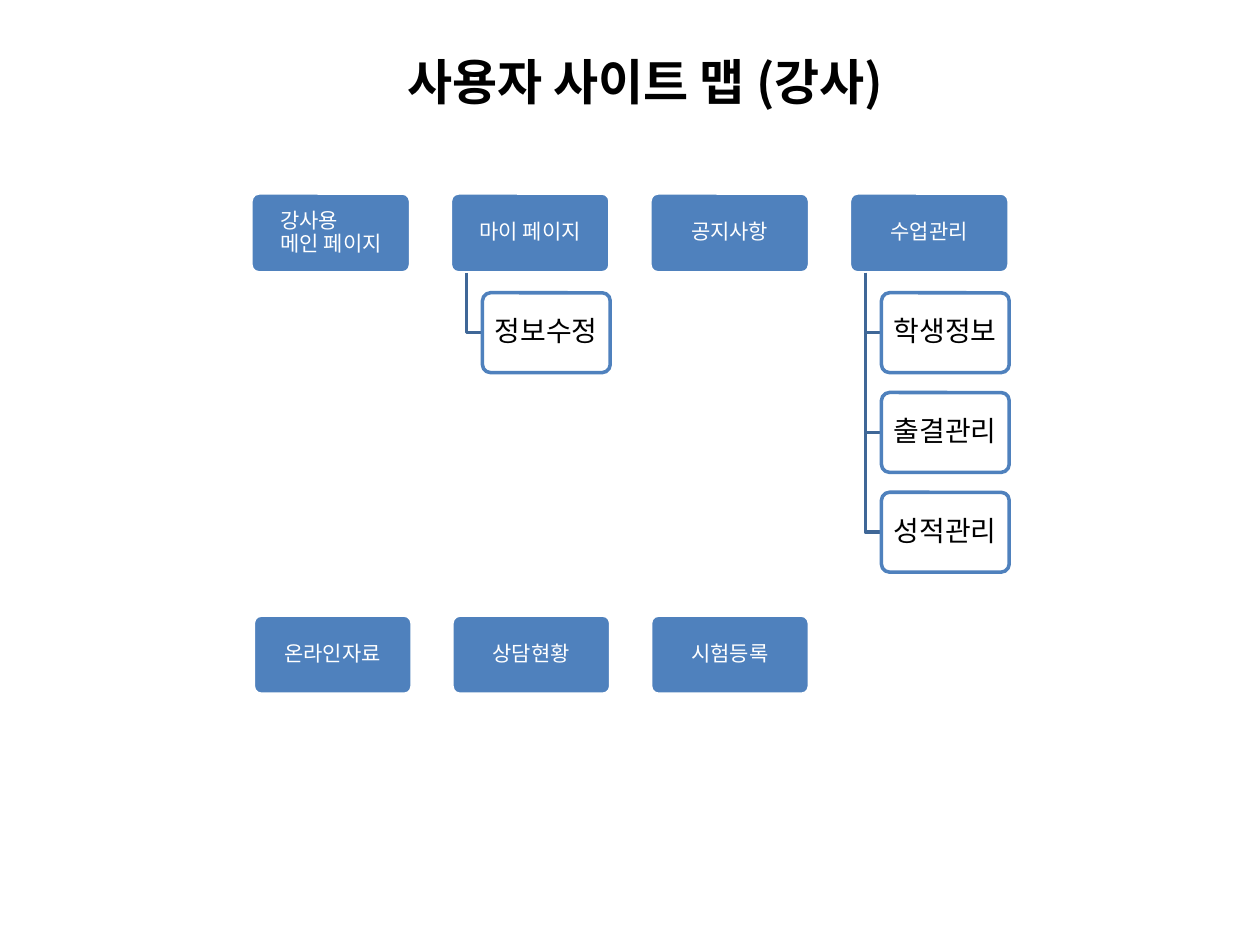
from pptx import Presentation
from pptx.dml.color import RGBColor
from pptx.enum.shapes import MSO_SHAPE
from pptx.enum.text import MSO_ANCHOR, PP_ALIGN
from pptx.oxml.ns import qn
from pptx.util import Pt

ROUNDED = MSO_SHAPE.ROUNDED_RECTANGLE
MIDDLE = MSO_ANCHOR.MIDDLE
CENTER, LEFT = PP_ALIGN.CENTER, PP_ALIGN.LEFT
FONT = "Noto Sans CJK KR"
COLORS = {"box": "4F81BD", "branch": "3F6797", "white": "FFFFFF", "black": "000000"}

# label, sub-pages
MAIN_ROW = [
    ("강사용\v메인 페이지", []),
    ("마이 페이지", ["정보수정"]),
    ("공지사항", []),
    ("수업관리", ["학생정보", "출결관리", "성적관리"]),
]
SECOND_ROW = [("온라인자료", []), ("상담현황", []), ("시험등록", [])]
# left, top, column step, box width, box height, pages
ROWS = [
    (143.4, 110.3, 114, 91.2, 45.6, MAIN_ROW),
    (144.8, 351.5, 113.5, 90.7, 45.2, SECOND_ROW),
]
CHILD_WIDTH, CHILD_STEP = 73, 57
CHILD_INDENT, TRUNK_INDENT = 18.3, 9.1


def style_text(paragraph, size, color, bold=False):
    """Apply the slide font to every run of a paragraph."""
    for run in paragraph.runs:
        run.font.name = FONT
        run.font.size = Pt(size)
        run.font.bold = bold
        run.font.color.rgb = RGBColor.from_string(COLORS[color])
        east_asian = run.font._element.makeelement(qn("a:ea"), {"typeface": FONT})
        run.font._element.find(qn("a:latin")).addnext(east_asian)


def add_page_box(position, label, fill, line, size, text_color):
    """Draw one rounded page box with its label."""
    shape = slide.shapes.add_shape(ROUNDED, *[Pt(value) for value in position])
    shape.adjustments[0] = 0.1
    shape.shadow.inherit = False
    shape.fill.solid()
    shape.fill.fore_color.rgb = RGBColor.from_string(COLORS[fill])
    shape.line.color.rgb = RGBColor.from_string(COLORS[line])
    shape.line.width = Pt(2)
    frame = shape.text_frame
    frame.word_wrap = True
    frame.vertical_anchor = MIDDLE
    two_lines = "\v" in label
    frame.margin_left = Pt(15.5 if two_lines else 3.6)
    frame.margin_right = Pt(3.6)
    frame.margin_top = frame.margin_bottom = Pt(2.9)
    paragraph = frame.paragraphs[0]
    paragraph.text = label
    paragraph.alignment = LEFT if two_lines else CENTER
    paragraph.line_spacing = 0.9
    paragraph.space_after = Pt(size * 0.35)
    style_text(paragraph, size, text_color)


presentation = Presentation()
presentation.slide_width = Pt(720)
presentation.slide_height = Pt(540)
slide = presentation.slides.add_slide(presentation.slide_layouts[6])

title = slide.shapes.add_textbox(Pt(156), Pt(26), Pt(425.5), Pt(41))
title.text_frame.word_wrap = True
title_paragraph = title.text_frame.paragraphs[0]
title_paragraph.text = "사용자 사이트 맵 (강사)"
title_paragraph.alignment = CENTER
style_text(title_paragraph, 28, "black", bold=True)

for row_left, top, step, width, height, pages in ROWS:
    for column, (label, children) in enumerate(pages):
        left = row_left + column * step
        add_page_box((left, top, width, height), label, "box", "white", 12, "white")
        bottom = top + height
        trunk = left + TRUNK_INDENT
        child_left = left + CHILD_INDENT
        for index, child in enumerate(children):
            child_top = top + (index + 1) * CHILD_STEP
            child_middle = child_top + height / 2
            builder = slide.shapes.build_freeform(Pt(trunk), Pt(bottom))
            builder.add_line_segments(
                [(Pt(trunk), Pt(child_middle)), (Pt(child_left), Pt(child_middle))],
                close=False,
            )
            branch = builder.convert_to_shape()
            branch.shadow.inherit = False
            branch.fill.background()
            branch.line.color.rgb = RGBColor.from_string(COLORS["branch"])
            branch.line.width = Pt(2)
            add_page_box((child_left, child_top, CHILD_WIDTH, height),
                         child, "white", "box", 16, "black")

presentation.save("out.pptx")
